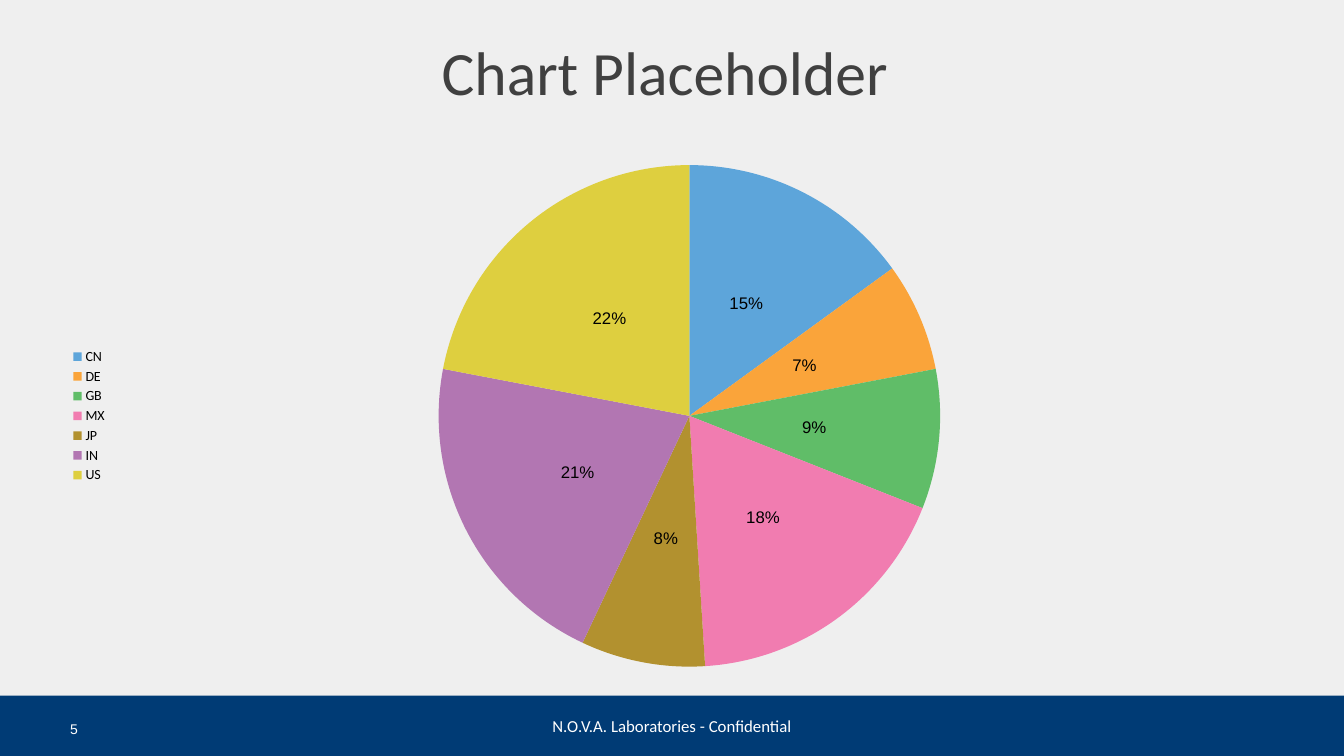
from pptx import Presentation
from pptx import util as u
from pptx.chart import data as cd
from pptx.dml import color
from pptx.enum import chart as ec, shapes, text

RGB = color.RGBColor.from_string
Cm, Pt = u.Cm, u.Pt

THEME = {
    "background": RGB("EFEFEF"),
    "bar": RGB("003B75"),
    "title": RGB("404040"),
    "light": RGB("FFFFFF"),
    "dark": RGB("000000"),
    "title_size": Pt(44),
    "medium_size": Pt(12),
    "small_size": Pt(10),
    "heading_font": "Calibri",
    "number_font": "Arial",
}
COUNTRIES = [
    ("CN", 15, "5DA5DA"),
    ("DE", 7, "FAA43A"),
    ("GB", 9, "60BD68"),
    ("MX", 18, "F17CB0"),
    ("JP", 8, "B2912F"),
    ("IN", 21, "B276B2"),
    ("US", 22, "DECF3F"),
]
MARGIN, CONTENT_WIDTH = Cm(1.52), Cm(30.48)
BAR_TOP, BAR_HEIGHT = Cm(17.53), Cm(1.52)


def style_font(font, name, size, rgb):
    font.name, font.size, font.color.rgb = name, size, rgb


prs = Presentation()
prs.slide_width, prs.slide_height = Cm(33.87), Cm(19.05)
s = prs.slides.add_slide(prs.slide_layouts[5])
s.background.fill.solid()
s.background.fill.fore_color.rgb = THEME["background"]

bar = s.shapes.add_shape(
    shapes.MSO_SHAPE.RECTANGLE, 0, BAR_TOP, prs.slide_width, BAR_HEIGHT)
bar.shadow.inherit = False
bar.fill.solid()
bar.fill.fore_color.rgb = THEME["bar"]
bar.line.fill.background()
tf = bar.text_frame
tf.vertical_anchor = text.MSO_ANCHOR.MIDDLE
p = tf.paragraphs[0]
p.text = "N.O.V.A. Laboratories - Confidential"
p.alignment = text.PP_ALIGN.CENTER
style_font(p.font, THEME["heading_font"], THEME["medium_size"], THEME["light"])

title = s.shapes.title
title.left, title.top = MARGIN, Cm(0.51)
title.width, title.height = CONTENT_WIDTH, Cm(2.54)
tf = title.text_frame
tf.margin_left = tf.margin_right = tf.margin_top = tf.margin_bottom = 0
tf.vertical_anchor = text.MSO_ANCHOR.MIDDLE
p = tf.paragraphs[0]
p.text = "Chart Placeholder"
p.alignment = text.PP_ALIGN.CENTER
style_font(p.font, THEME["heading_font"], THEME["title_size"], THEME["title"])

names, values, colors = zip(*COUNTRIES)
chart_data = cd.CategoryChartData()
chart_data.categories = names
chart_data.add_series("Series 1", values)
chart = s.shapes.add_chart(
    ec.XL_CHART_TYPE.PIE, MARGIN, Cm(3.81), CONTENT_WIDTH, Cm(13.34), chart_data).chart
style_font(chart.font, THEME["heading_font"], THEME["small_size"], THEME["dark"])
chart.has_title = False
chart.has_legend = True
chart.legend.position = ec.XL_LEGEND_POSITION.LEFT
chart.legend.include_in_layout = False

pie = chart.plots[0]
pie.vary_by_categories = True
for i, slice_color in enumerate(colors):
    point = pie.series[0].points[i]
    point.format.fill.solid()
    point.format.fill.fore_color.rgb = RGB(slice_color)
    point.format.line.fill.background()

pie.has_data_labels = True
labels = pie.data_labels
labels.show_percentage = True
labels.show_value = False
labels.number_format = "0%"
labels.number_format_is_linked = False
labels.position = ec.XL_LABEL_POSITION.CENTER
style_font(labels.font, THEME["number_font"], THEME["medium_size"], THEME["dark"])

number = s.shapes.add_textbox(MARGIN, Cm(18.03), Cm(2.21), Cm(0.84))
tf = number.text_frame
tf.word_wrap = True
p = tf.paragraphs[0]
p.text = "5"
style_font(p.font, THEME["number_font"], THEME["small_size"], THEME["light"])

prs.save("out.pptx")
